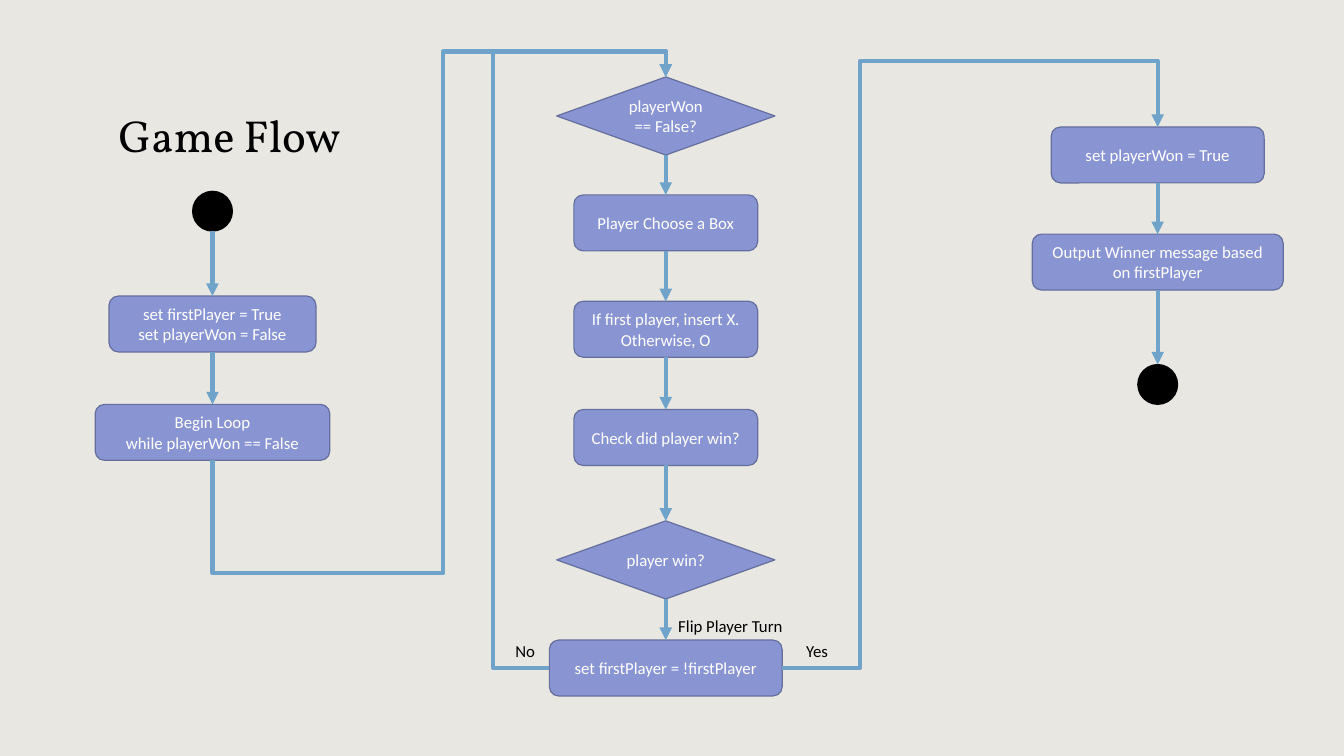
from dataclasses import dataclass

from lxml import etree
from pptx import Presentation, util as u
from pptx.dml.color import RGBColor
from pptx.enum import shapes, text
from pptx.oxml import ns

KIND = shapes.MSO_SHAPE
JOIN = shapes.MSO_CONNECTOR
TOP, LEFT, BOTTOM, RIGHT = range(4)


@dataclass(frozen=True)
class Theme:
    page: str = "E8E7E2"
    box: str = "8995D3"
    edge: str = "656E9C"
    flow: str = "6FA3C9"
    ink: str = "000000"
    light: str = "FFFFFF"
    head: str = "Vollkorn"
    body: str = "Calibri"
    big: float = 32
    small: float = 12
    thin: float = 0.85
    thick: float = 3


@dataclass(frozen=True)
class Node:
    key: str
    mid: float
    top: float
    wide: float
    words: str = ""
    kind: shapes.MSO_SHAPE = KIND.ROUNDED_RECTANGLE
    high: float = 5.55


@dataclass(frozen=True)
class Label:
    left: float
    top: float
    wide: float
    words: str
    high: float = 3.03


@dataclass(frozen=True)
class Bend:
    start: str
    side: int
    end: str
    form: str
    turn: int
    flip: str
    bends: tuple[float, ...]


LOOK = Theme()
CELL = u.Inches(0.1)
COLS, ROWS = 133.33, 75
START, LOOP, FINISH = 21.08, 66.05, 114.85
DOT, GEM = 3.95, 7.75

LANES = [
    [
        Node("begin", START, 18.98, DOT, kind=KIND.OVAL, high=DOT),
        Node("setup", START, 29.37, 20.53,
             "set firstPlayer = True\nset playerWon = False"),
        Node("while", START, 40.12, 23.28,
             "Begin Loop\nwhile playerWon == False"),
    ],
    [
        Node("test", LOOP, 7.63, 21.65, "playerWon == False?",
             KIND.DIAMOND, GEM),
        Node("pick", LOOP, 19.34, 18.24, "Player Choose a Box"),
        Node("mark", LOOP, 29.89, 18.24,
             "If first player, insert X. Otherwise, O"),
        Node("check", LOOP, 40.63, 18.24, "Check did player win?"),
        Node("win", LOOP, 51.67, 21.65, "player win?", KIND.DIAMOND, GEM),
        Node("turn", LOOP, 63.5, 23.1, "set firstPlayer = !firstPlayer"),
    ],
    [
        Node("won", FINISH, 12.6, 21.13, "set playerWon = True"),
        Node("show", FINISH, 23.23, 24.9,
             "Output Winner message based on firstPlayer"),
        Node("end", FINISH, 36.17, DOT, kind=KIND.OVAL, high=DOT),
    ],
]

BENDS = [
    Bend("while", BOTTOM, "test", "bentConnector5", 90, "HV",
         (-0.295, 0.509, 1.066)),
    Bend("turn", LEFT, "test", "bentConnector4", 180, "H",
         (-0.481, 1.043)),
    Bend("turn", RIGHT, "won", "bentConnector4", 0, "V",
         (0.207, 1.122)),
]

LABELS = [
    Label(50.15, 63.1, 4.3, "No"),
    Label(79, 63.1, 4.6, "Yes"),
    Label(66.3, 60.55, 13.8, "Flip Player Turn"),
]


def span(cells: float) -> int:
    return round(cells * CELL)


def tint(code: str) -> RGBColor:
    return RGBColor.from_string(code)


def style(frame, face: str, size: float, color: str, align) -> None:
    for para in frame.paragraphs:
        para.alignment = align
        for run in para.runs:
            run.font.name = face
            run.font.size = u.Pt(size)
            run.font.color.rgb = tint(color)


def draw_node(slide, node: Node):
    shape = slide.shapes.add_shape(
        node.kind, span(node.mid - node.wide / 2), span(node.top),
        span(node.wide), span(node.high))
    dot = node.kind == KIND.OVAL
    shape.shadow.inherit = False
    shape.fill.solid()
    shape.fill.fore_color.rgb = tint(LOOK.ink if dot else LOOK.box)
    shape.line.color.rgb = tint(LOOK.ink if dot else LOOK.edge)
    shape.line.width = u.Pt(LOOK.thin)
    if node.words:
        frame = shape.text_frame
        frame.text = node.words
        frame.word_wrap = True
        frame.vertical_anchor = text.MSO_ANCHOR.MIDDLE
        style(frame, LOOK.body, LOOK.small, LOOK.light,
              text.PP_ALIGN.CENTER)
    return shape


def spot(shape, side: int) -> tuple[int, int]:
    across = {LEFT: 0, RIGHT: shape.width}.get(side, shape.width // 2)
    down = {TOP: 0, BOTTOM: shape.height}.get(side, shape.height // 2)
    return shape.left + across, shape.top + down


def draw_link(slide, first, side: int, last, kind=JOIN.STRAIGHT):
    link = slide.shapes.add_connector(
        kind, *spot(first, side), *spot(last, TOP))
    if first.auto_shape_type != KIND.OVAL:
        link.begin_connect(first, side)
    if last.auto_shape_type != KIND.OVAL or side == TOP:
        link.end_connect(last, TOP)
    link.line.color.rgb = tint(LOOK.flow)
    link.line.width = u.Pt(LOOK.thick)
    props = link._element.spPr
    etree.SubElement(props.find(ns.qn("a:ln")), ns.qn("a:tailEnd"),
                     type="triangle")
    etree.SubElement(props, ns.qn("a:effectLst"))
    return link


def draw_bend(slide, bend: Bend, made: dict) -> None:
    link = draw_link(slide, made[bend.start], bend.side, made[bend.end],
                     JOIN.ELBOW)
    if bend.turn == 90:
        wide, high = link.width, link.height
        link.left += (wide - high) // 2
        link.top += (high - wide) // 2
        link.width, link.height = high, wide
    props = link._element.spPr
    frame = props.find(ns.qn("a:xfrm"))
    frame.set("rot", str(bend.turn * 60000))
    for axis in "HV":
        frame.set(f"flip{axis}", str(int(axis in bend.flip)))
    shape = props.find(ns.qn("a:prstGeom"))
    shape.set("prst", bend.form)
    guides = shape.find(ns.qn("a:avLst"))
    for rank, share in enumerate(bend.bends, 1):
        etree.SubElement(guides, ns.qn("a:gd"), name=f"adj{rank}",
                         fmla=f"val {round(share * 100000)}")


def draw_text(slide, label: Label, face: str, size: float):
    area = slide.shapes.add_textbox(
        span(label.left), span(label.top), span(label.wide),
        span(label.high))
    frame = area.text_frame
    frame.text = label.words
    style(frame, face, size, LOOK.ink, text.PP_ALIGN.LEFT)
    return frame


def main() -> None:
    deck = Presentation()
    deck.slide_width, deck.slide_height = span(COLS), span(ROWS)
    slide = deck.slides.add_slide(deck.slide_layouts[6])
    slide.background.fill.solid()
    slide.background.fill.fore_color.rgb = tint(LOOK.page)
    title = draw_text(slide, Label(10.8, 4.3, 58.7, "Game Flow", 12.2),
                      LOOK.head, LOOK.big)
    title.word_wrap = True
    title.vertical_anchor = text.MSO_ANCHOR.BOTTOM
    made = {node.key: draw_node(slide, node)
            for lane in LANES for node in lane}
    for lane in LANES:
        for first, last in zip(lane, lane[1:]):
            draw_link(slide, made[first.key], BOTTOM, made[last.key])
    for bend in BENDS:
        draw_bend(slide, bend, made)
    for label in LABELS:
        frame = draw_text(slide, label, LOOK.body, LOOK.small)
        frame.word_wrap = False
        frame.auto_size = text.MSO_AUTO_SIZE.SHAPE_TO_FIT_TEXT
    deck.save("out.pptx")


if __name__ == "__main__":
    main()
